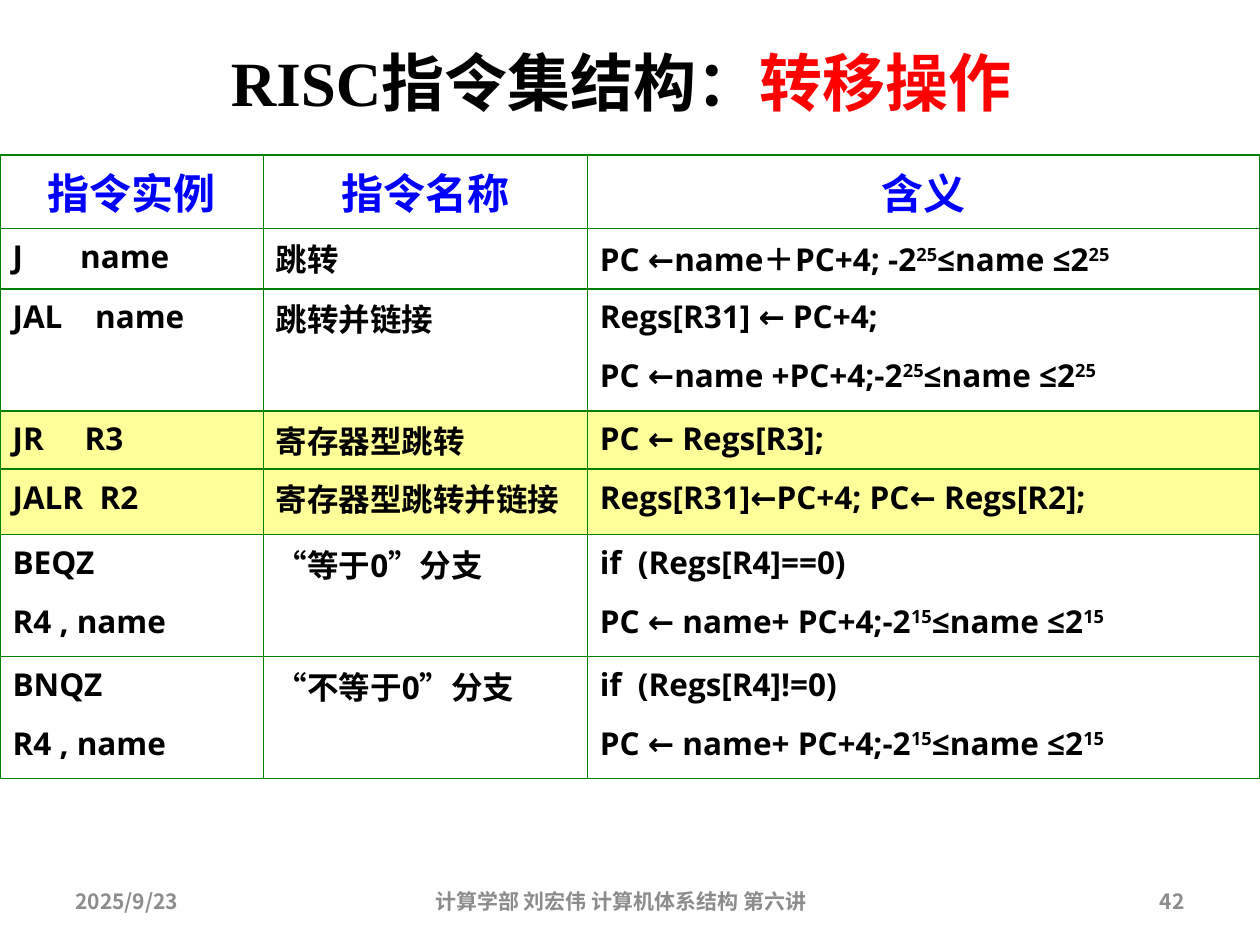
from itertools import groupby

from lxml import etree
from pptx import Presentation
from pptx.dml.color import RGBColor
from pptx.enum import text as t
from pptx.oxml import ns
from pptx.util import Cm, Pt

COLORS = {"ink": "000000", "accent": "FF0000", "header": "0000FF",
          "border": "008000", "highlight": "FFFF99", "footer": "8C8C8C"}
LATIN, CJK = "Open Sans", "Noto Sans CJK SC"
COLUMN_WIDTHS = [5.31, 6.53, 13.56]
ROW_HEIGHTS = [1.27, 1.22, 2.46, 1.14, 1.32, 2.46, 2.46]
HIGHLIGHTED_ROWS = (3, 4)
HANGING_ROWS = (0, 4)
# Text between carets is superscript; a line break starts a new paragraph.
ROWS = [
    ("指令实例", "指令名称", "含义"),
    ("J       name", "跳转", "PC ←name＋PC+4; -2^25^≤name ≤2^25^"),
    ("JAL    name", "跳转并链接",
     "Regs[R31] ← PC+4;\nPC ←name +PC+4;-2^25^≤name ≤2^25^"),
    ("JR     R3", "寄存器型跳转", "PC ← Regs[R3];"),
    ("JALR  R2", "寄存器型跳转并链接", "Regs[R31]←PC+4; PC← Regs[R2];"),
    ("BEQZ\nR4 , name", "“等于0”分支",
     "if  (Regs[R4]==0)\nPC ← name+ PC+4;-2^15^≤name ≤2^15^"),
    ("BNQZ\nR4 , name", "“不等于0”分支",
     "if  (Regs[R4]!=0)\nPC ← name+ PC+4;-2^15^≤name ≤2^15^"),
]


def add_run(paragraph, content, font_name, size, color):
    run = paragraph.add_run()
    run.text = content
    font = run.font
    font.name, font.size, font.bold = font_name, Pt(size), True
    font.color.rgb = RGBColor.from_string(COLORS[color])
    properties = run._r.get_or_add_rPr()
    east_asian = etree.SubElement(properties, ns.qn("a:ea"))
    east_asian.set("typeface", CJK)
    return properties


def add_marked_text(paragraph, marked, size, color):
    """Add runs, raising text between carets and setting quotes in the CJK font."""
    for index, part in enumerate(marked.split("^")):
        for is_quote, characters in groupby(part, lambda c: c in "“”"):
            properties = add_run(paragraph, "".join(characters),
                                 CJK if is_quote else LATIN, size, color)
            if index % 2:
                properties.set("baseline", "30000")


def add_borders(cell):
    properties = cell._tc.get_or_add_tcPr()
    for side in ("lnL", "lnR", "lnT", "lnB"):
        line = etree.SubElement(properties, ns.qn(f"a:{side}"), w=str(Pt(1)))
        fill = etree.SubElement(line, ns.qn("a:solidFill"))
        etree.SubElement(fill, ns.qn("a:srgbClr"), val=COLORS["border"])


def fill_cell(cell, content, row, column):
    add_borders(cell)
    if row in HIGHLIGHTED_ROWS:
        cell.fill.solid()
        cell.fill.fore_color.rgb = RGBColor.from_string(COLORS["highlight"])
    else:
        cell.fill.background()
    is_header = row == 0
    size = 24 if is_header else 18
    for index, line in enumerate(content.split("\n")):
        frame = cell.text_frame
        paragraph = frame.add_paragraph() if index else frame.paragraphs[0]
        paragraph.space_before = Pt(size / 2)
        if is_header:
            paragraph.alignment = t.PP_ALIGN.CENTER
        if column < 2 or row in HANGING_ROWS:
            properties = paragraph._p.get_or_add_pPr()
            properties.set("marL", str(Cm(1.3)))
            properties.set("indent", str(-Cm(1.3)))
        add_marked_text(paragraph, line, size, "header" if is_header else "ink")


def add_title(slide, left, top, width, height):
    title = slide.shapes.title
    title.left, title.top, title.width, title.height = left, top, width, height
    frame = title.text_frame
    frame.auto_size = t.MSO_AUTO_SIZE.NONE
    frame.vertical_anchor = t.MSO_ANCHOR.MIDDLE
    paragraph = frame.paragraphs[0]
    paragraph.alignment = t.PP_ALIGN.CENTER
    add_run(paragraph, "RISC", "Times New Roman", 36, "ink")
    add_run(paragraph, "指令集结构：", "Arial", 36, "ink")
    add_run(paragraph, "转移操作", "Times New Roman", 36, "accent")


def add_instruction_table(slide, left, top):
    table = slide.shapes.add_table(
        len(ROWS), len(COLUMN_WIDTHS), left, top,
        Cm(sum(COLUMN_WIDTHS)), Cm(sum(ROW_HEIGHTS))).table
    table.first_row = table.horz_banding = False
    for column, width in zip(table.columns, COLUMN_WIDTHS):
        column.width = Cm(width)
    for row, height in zip(table.rows, ROW_HEIGHTS):
        row.height = Cm(height)
    for row, contents in enumerate(ROWS):
        for column, content in enumerate(contents):
            fill_cell(table.cell(row, column), content, row, column)


def add_footer(slide, top, height):
    align = t.PP_ALIGN
    for content, left, width, alignment in (
            ("2025/9/23", 1.27, 5.92, align.LEFT),
            ("计算学部 刘宏伟 计算机体系结构 第六讲", 8.3, 8.43, align.CENTER),
            ("42", 18.21, 5.92, align.RIGHT)):
        frame = slide.shapes.add_textbox(Cm(left), top, Cm(width), height).text_frame
        frame.word_wrap = True
        frame.vertical_anchor = t.MSO_ANCHOR.MIDDLE
        paragraph = frame.paragraphs[0]
        paragraph.alignment = alignment
        add_run(paragraph, content, CJK, 12, "footer")


def main():
    presentation = Presentation()
    presentation.slide_width, presentation.slide_height = Cm(25.4), Cm(19.05)
    slide = presentation.slides.add_slide(presentation.slide_layouts[5])
    add_title(slide, Cm(1.09), Cm(0.05), Cm(22.86), Cm(3.18))
    add_instruction_table(slide, Cm(0), Cm(3.12))
    add_footer(slide, Cm(17.65), Cm(1.02))
    presentation.save("out.pptx")


if __name__ == "__main__":
    main()
